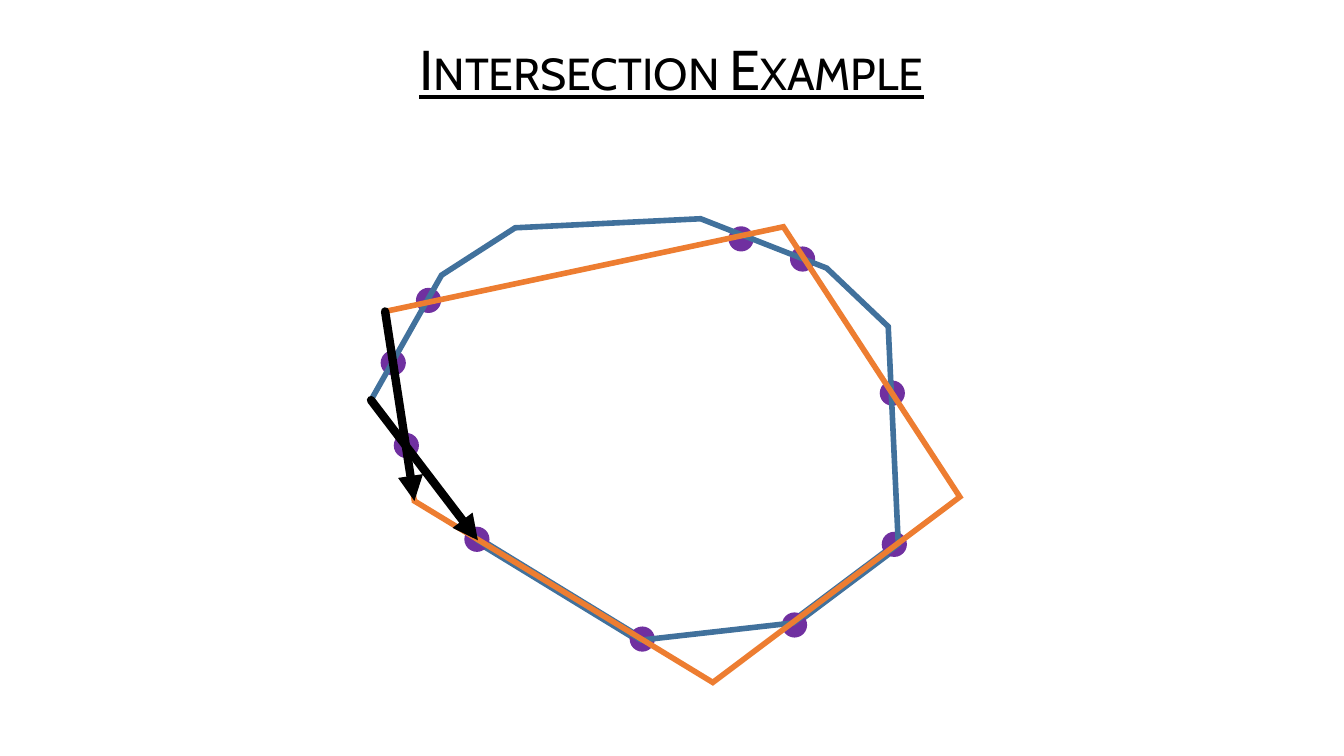
from dataclasses import dataclass

from lxml.etree import SubElement
from pptx import Presentation
from pptx.dml.color import RGBColor
from pptx.enum.shapes import MSO_CONNECTOR, MSO_SHAPE
from pptx.enum.text import MSO_ANCHOR, PP_ALIGN
from pptx.oxml.ns import qn
from pptx.util import Inches, Pt


@dataclass(frozen=True)
class Theme:
    font: str = "Cabin"
    title_size: int = 40
    ink: str = "000000"
    blue: str = "41719C"
    orange: str = "ED7D31"
    purple: str = "7030A0"
    outline: int = 4
    shared_edge: int = 7
    arrow: int = 6
    dot: float = 0.25


THEME = Theme()

# Corners and crossings in inches from the top left of the diagram
BLUE_POLYGON = [
    (0, 1.8), (1.06, 3.19), (2.68, 4.18), (4.19, 4.01), (5.23, 3.23),
    (5.13, 1.07), (4.52, 0.49), (3.27, 0), (1.43, 0.09), (0.7, 0.56),
]
ORANGE_POLYGON = [(0.14, 0.92), (0.43, 2.8), (3.39, 4.6), (5.84, 2.76), (4.09, 0.08)]
CROSSINGS = [
    (2.69, 4.17), (4.2, 4.03), (5.19, 3.23), (5.17, 1.73), (4.28, 0.4),
    (3.67, 0.2), (0.57, 0.81), (0.22, 1.43), (1.05, 3.18), (0.35, 2.25),
]


def style_line(line, color, width):
    line.color.rgb = RGBColor.from_string(color)
    line.width = Pt(width)


def add_title(slide, text, left, top, width, height):
    title = slide.shapes.title
    title.left, title.top = Inches(left), Inches(top)
    title.width, title.height = Inches(width), Inches(height)
    frame = title.text_frame
    frame.vertical_anchor = MSO_ANCHOR.MIDDLE
    frame.word_wrap = True
    paragraph = frame.paragraphs[0]
    paragraph.alignment = PP_ALIGN.CENTER
    paragraph.line_spacing = 0.9
    paragraph.space_before = Pt(10)
    run = paragraph.add_run()
    run.text = text
    run.font.name = THEME.font
    run.font.size = Pt(THEME.title_size)
    run.font.underline = True
    run.font.color.rgb = RGBColor.from_string(THEME.ink)
    run.font._element.set("cap", "small")


def add_edge(slide, start, end, color, width, arrow=False):
    ends = [Inches(value) for value in (*start, *end)]
    edge = slide.shapes.add_connector(MSO_CONNECTOR.STRAIGHT, *ends)
    style_line(edge.line, color, width)
    properties = edge._element.spPr
    if arrow:
        outline = properties.find(qn("a:ln"))
        outline.set("cap", "rnd")
        SubElement(outline, qn("a:tailEnd"), type="triangle")
    SubElement(properties, qn("a:effectLst"))


def add_polygon(slide, corners, color):
    points = [(Inches(x), Inches(y)) for x, y in corners]
    builder = slide.shapes.build_freeform(*points[0])
    builder.add_line_segments(points[1:], close=True)
    polygon = builder.convert_to_shape()
    polygon.shadow.inherit = False
    polygon.fill.background()
    style_line(polygon.line, color, THEME.outline)
    SubElement(polygon._element.spPr.find(qn("a:ln")), qn("a:miter"), lim="800000")


def add_dot(slide, center):
    size = THEME.dot
    left, top = (Inches(value - size / 2) for value in center)
    dot = slide.shapes.add_shape(MSO_SHAPE.OVAL, left, top, Inches(size), Inches(size))
    dot.shadow.inherit = False
    dot.fill.solid()
    dot.fill.fore_color.rgb = RGBColor.from_string(THEME.purple)
    dot.line.fill.background()


def add_intersection_diagram(slide, left, top):
    """Two overlapping polygons, their crossings and the current edge of each."""
    blue, orange, crossings = (
        [(left + x, top + y) for x, y in points]
        for points in (BLUE_POLYGON, ORANGE_POLYGON, CROSSINGS)
    )
    for first in (1, 3):
        add_edge(slide, blue[first], blue[first + 1], THEME.blue, THEME.shared_edge)
    for center in crossings:
        add_dot(slide, center)
    add_polygon(slide, blue, THEME.blue)
    add_polygon(slide, orange, THEME.orange)
    for corners in (orange, blue):
        add_edge(slide, corners[0], corners[1], THEME.ink, THEME.arrow, arrow=True)


def main():
    presentation = Presentation()
    presentation.slide_width = Inches(13.33)
    presentation.slide_height = Inches(7.5)
    slide = presentation.slides.add_slide(presentation.slide_layouts.get_by_name("Title Only"))
    add_title(slide, "Intersection Example", 1.74, 0.29, 9.84, 0.85)
    add_intersection_diagram(slide, 3.68, 2.17)
    presentation.save("out.pptx")


if __name__ == "__main__":
    main()
